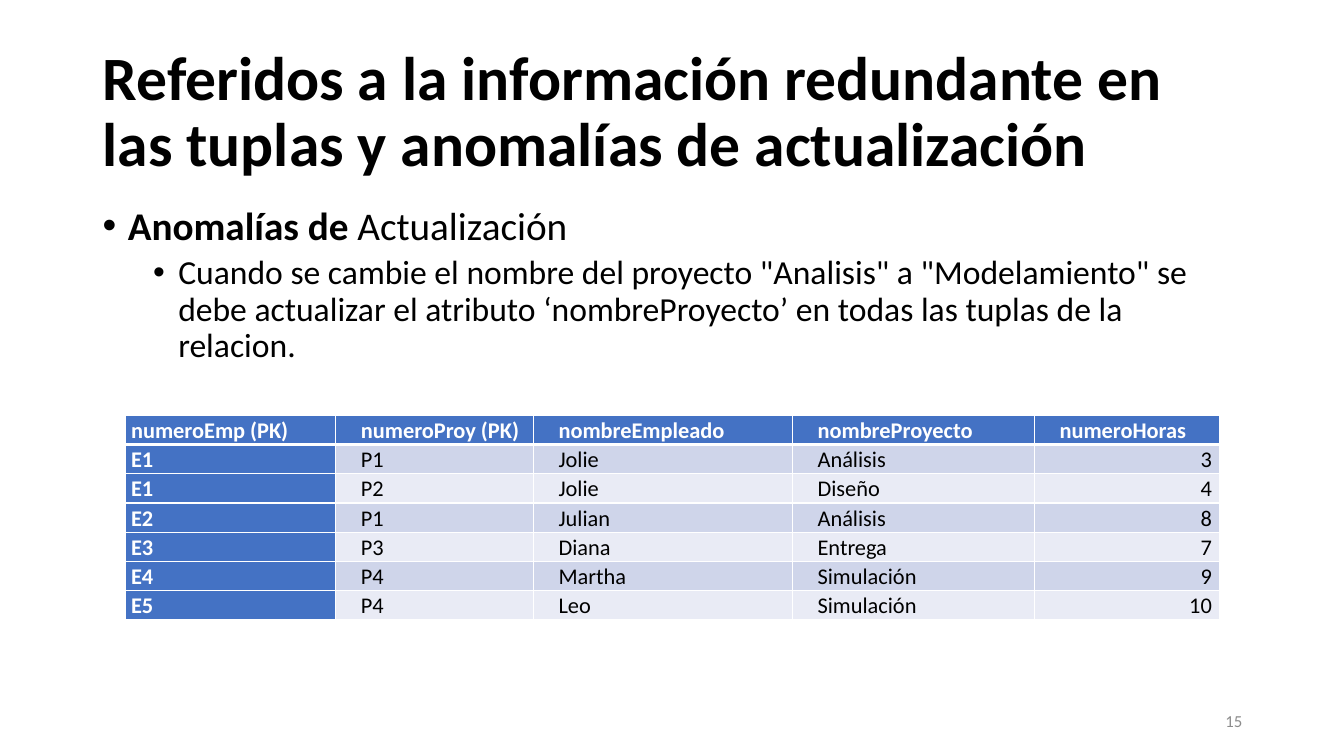
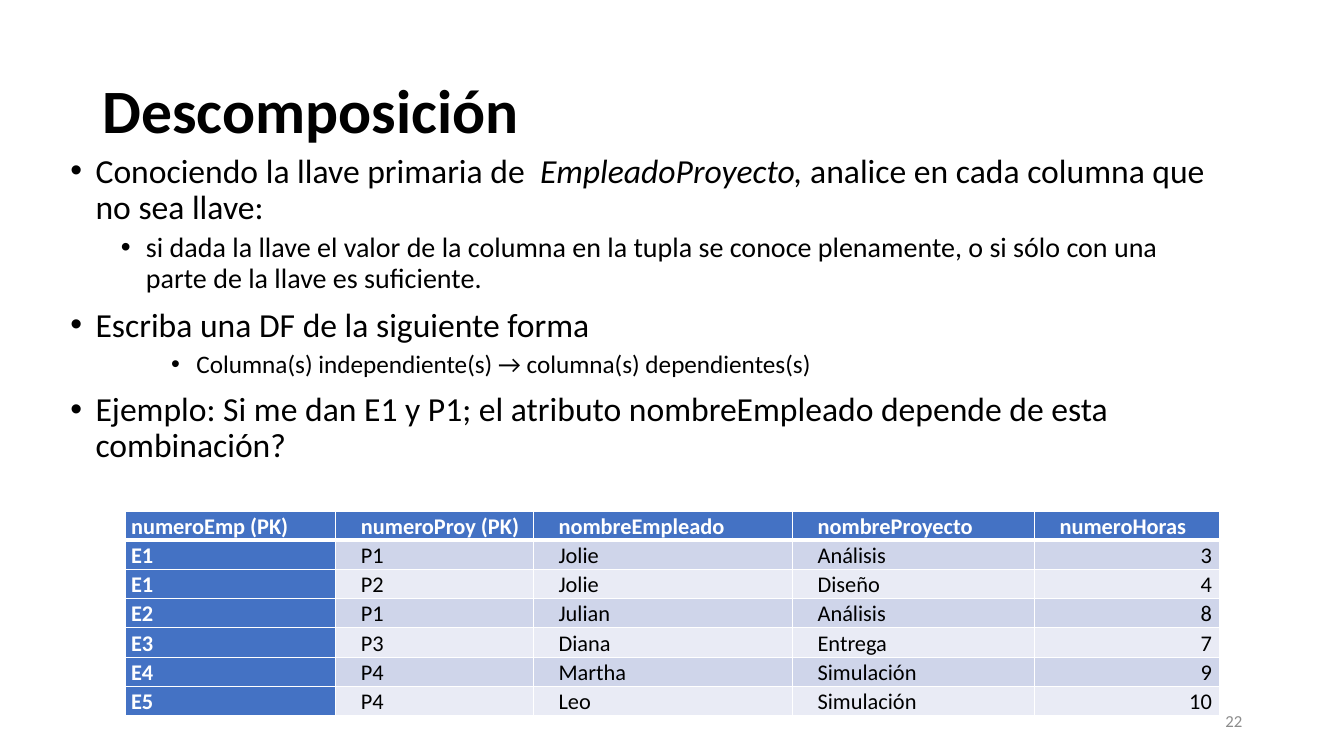
from lxml import etree
from pptx import Presentation
from pptx import util as u
from pptx.dml import color
from pptx.enum import text
from pptx.oxml import ns

COLORS = {
    "text": "000000",
    "number": "8C8C8C",
    "line": "FFFFFF",
    "header": "4472C4",
    "odd": "CFD5EA",
    "even": "E9EBF5",
}
FONT = "Calibri"
ALIGN = text.PP_ALIGN
COLUMN_WIDTHS = [2.09, 1.96, 2.57, 2.4, 1.84]
EMPLOYEE_PROJECT = [
    ["numeroEmp (PK)", "numeroProy (PK)", "nombreEmpleado", "nombreProyecto", "numeroHoras "],
    ["E1", "P1", "Jolie", "Análisis", "3 "],
    ["E1", "P2", "Jolie", "Diseño", "4 "],
    ["E2", "P1", "Julian", "Análisis", "8 "],
    ["E3", "P3", "Diana", "Entrega", "7 "],
    ["E4", "P4", "Martha", "Simulación", "9 "],
    ["E5", "P4", "Leo", "Simulación", "10 "],
]


class Deck:
    def __init__(self):
        self.presentation = Presentation()
        self.presentation.slide_width = u.Inches(13.33)
        self.presentation.slide_height = u.Inches(7.5)
        self.slide = None

    def add_slide(self, title, number):
        self.slide = self.presentation.slides.add_slide(self.presentation.slide_layouts[6])
        middle = text.MSO_ANCHOR.MIDDLE
        paragraph = self.text_box(0.92, 0.4, 11.5, 1.45, middle).paragraphs[0]
        paragraph.line_spacing = 0.9
        self.add_run(paragraph, title, 44, bold=True)
        paragraph = self.text_box(9.42, 6.95, 3, 0.4, middle).paragraphs[0]
        paragraph.alignment = ALIGN.RIGHT
        self.add_run(paragraph, number, 12, "number")

    def text_box(self, left, top, width, height, anchor=text.MSO_ANCHOR.TOP):
        shape = self.slide.shapes.add_textbox(*map(u.Inches, (left, top, width, height)))
        frame = shape.text_frame
        frame.word_wrap = True
        frame.vertical_anchor = anchor
        return frame

    def add_run(self, paragraph, content, size, shade="text", bold=False, italic=False):
        run = paragraph.add_run()
        run.text = content
        run.font.name = FONT
        run.font.size = u.Pt(size)
        run.font.bold = bold
        run.font.italic = italic
        run.font.color.rgb = color.RGBColor.from_string(COLORS[shade])

    def indent(self, paragraph, margin, first_line):
        properties = paragraph._p.get_or_add_pPr()
        properties.set("marL", str(u.Inches(margin)))
        properties.set("indent", str(u.Inches(first_line)))
        return properties

    def add_bullets(self, left, top, items):
        frame = self.text_box(left, top, 11.5, 4.76)
        for index, (level, size, runs) in enumerate(items):
            paragraph = frame.paragraphs[0] if index == 0 else frame.add_paragraph()
            paragraph.level = level
            paragraph.line_spacing = 0.9
            paragraph.space_before = u.Pt(5 if level else 10)
            properties = self.indent(paragraph, 0.25 + 0.5 * level, -0.25)
            etree.SubElement(properties, ns.qn("a:buFont"), typeface="Arial")
            etree.SubElement(properties, ns.qn("a:buChar"), char="•")
            for content, style in runs:
                self.add_run(paragraph, content, size, **style)

    def add_border(self, cell, side, width):
        line = etree.SubElement(cell._tc.get_or_add_tcPr(), ns.qn("a:ln" + side), w=str(u.Pt(width)))
        fill = etree.SubElement(line, ns.qn("a:solidFill"))
        etree.SubElement(fill, ns.qn("a:srgbClr"), val=COLORS["line"])

    def style_cell(self, cell, content, row, column):
        strong = row == 0 or column == 0
        cell.margin_left = cell.margin_top = cell.margin_bottom = 0
        cell.margin_right = u.Inches(0.03)
        heavy_side = {0: "B", 1: "T"}.get(row)
        for side in "LRTB":
            self.add_border(cell, side, 3 if side == heavy_side else 1)
        cell.fill.solid()
        shade = "header" if strong else "odd" if row % 2 else "even"
        cell.fill.fore_color.rgb = color.RGBColor.from_string(COLORS[shade])
        paragraph = cell.text_frame.paragraphs[0]
        paragraph.line_spacing = 1.07
        if column == len(COLUMN_WIDTHS) - 1:
            paragraph.alignment = ALIGN.RIGHT if row else ALIGN.JUSTIFY
        self.indent(paragraph, 0.26 if column else 0.07, -0.01)
        self.add_run(paragraph, content, 16, "line" if strong else "text", bold=strong)

    def add_table(self, top, rows):
        row_height = 0.29
        shape = self.slide.shapes.add_table(
            len(rows), len(COLUMN_WIDTHS), u.Inches(1.24), u.Inches(top),
            u.Inches(sum(COLUMN_WIDTHS)), u.Inches(row_height * len(rows)))
        table = shape.table
        for column, width in zip(table.columns, COLUMN_WIDTHS):
            column.width = u.Inches(width)
        for row, values in enumerate(rows):
            table.rows[row].height = u.Inches(row_height)
            for column, content in enumerate(values):
                self.style_cell(table.cell(row, column), content, row, column)


def main():
    deck = Deck()

    deck.add_slide("Referidos a la información redundante en las tuplas y anomalías de actualización", "15")
    deck.add_bullets(0.92, 2, [
        (0, 28, [("Anomalías de ", {"bold": True}), ("Actualización", {})]),
        (1, 24, [("Cuando se cambie el nombre del proyecto \"Analisis\" a \"Modelamiento\" se debe "
                  "actualizar el atributo ‘nombreProyecto’ en todas las tuplas de la relacion.", {})]),
    ])
    deck.add_table(4.12, EMPLOYEE_PROJECT)

    deck.add_slide("Descomposición", "22")
    deck.add_bullets(0.6, 1.48, [
        (0, 24, [("Conociendo la llave primaria de  ", {}), ("EmpleadoProyecto,", {"italic": True}),
                 (" analice en cada columna que no sea llave:", {})]),
        (1, 20, [("si dada la llave el valor de la columna en la tupla se conoce plenamente, "
                  "o si sólo con una parte de la llave es suficiente.", {})]),
        (0, 24, [("Escriba una DF de la siguiente forma", {})]),
        (2, 18, [("Columna(s) independiente(s) → columna(s) dependientes(s)", {})]),
        (0, 24, [("Ejemplo: Si me dan E1 y P1; el atributo nombreEmpleado depende de esta combinación?", {})]),
    ])
    deck.add_table(5.07, EMPLOYEE_PROJECT)

    deck.presentation.save("out.pptx")


if __name__ == "__main__":
    main()
